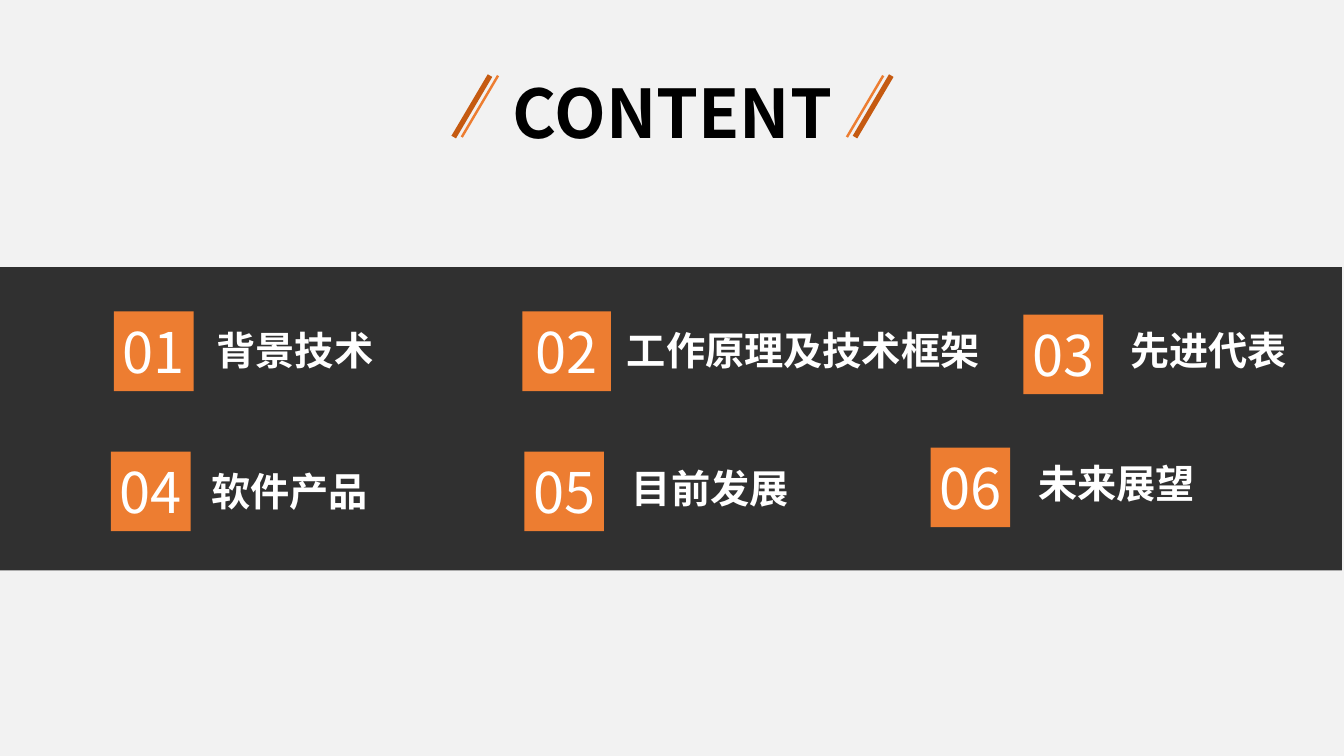
from lxml import etree
from pptx import Presentation
from pptx import util as u
from pptx.dml import color
from pptx.enum import shapes, text
from pptx.oxml import ns

COLORS = {"background": "F2F2F2", "band": "000000", "tile": "ED7D31",
          "dark_orange": "C55A11", "title": "000000", "label": "FFFFFF"}
FONT = "Noto Sans CJK SC"
TILE = 0.79
TOPICS = [
    ("01", 1.13, 3.09, TILE, "背景技术", 2.05, 3.19, 3.09),
    ("02", 5.18, 3.09, 0.88, "工作原理及技术框架", 6.12, 3.19, 4.06),
    ("03", 10.15, 3.12, TILE, "先进代表", 11.11, 3.19, 2.1),
    ("04", 1.1, 4.48, TILE, "软件产品", 2, 4.58, 2.1),
    ("05", 5.2, 4.48, TILE, "目前发展", 6.17, 4.55, 2.1),
    ("06", 9.23, 4.44, TILE, "未来展望", 10.2, 4.51, 2.1),
]


def rgb(name):
    """Return the palette colour with this name."""
    return color.RGBColor.from_string(COLORS[name])


def write(shape, words, size, color_name, bold, alignment):
    """Put one styled line of text into a shape."""
    frame = shape.text_frame
    frame.text = words
    frame.vertical_anchor = text.MSO_ANCHOR.MIDDLE
    paragraph = frame.paragraphs[0]
    paragraph.alignment = alignment
    font = paragraph.runs[0].font
    font.name, font.size, font.bold = FONT, u.Pt(size), bold
    font.color.rgb = rgb(color_name)
    east_asian = etree.SubElement(paragraph.runs[0]._r.get_or_add_rPr(), ns.qn("a:ea"))
    east_asian.set("typeface", FONT)


def add_rectangle(slide, left, top, width, height, color_name):
    """Add a flat rectangle without an outline."""
    shape = slide.shapes.add_shape(shapes.MSO_SHAPE.RECTANGLE, u.Inches(left), u.Inches(top),
                                   u.Inches(width), u.Inches(height))
    shape.shadow.inherit = False
    shape.fill.solid()
    shape.fill.fore_color.rgb = rgb(color_name)
    shape.line.fill.background()
    return shape


def add_band(slide):
    """Add the translucent dark band behind the topics."""
    band = add_rectangle(slide, -0.07, 2.65, 13.38, 3.01, "band")
    fill_color = band.fill._xPr.find(".//" + ns.qn("a:srgbClr"))
    etree.SubElement(fill_color, ns.qn("a:alpha")).set("val", "80000")


def add_slash(slide, left, color_name, width):
    """Add one slanted stroke beside the title."""
    slash = slide.shapes.add_connector(shapes.MSO_CONNECTOR.STRAIGHT, u.Inches(left + 0.36),
                                       u.Inches(0.75), u.Inches(left), u.Inches(1.36))
    slash.line.color.rgb = rgb(color_name)
    slash.line.width = u.Pt(width)
    etree.SubElement(slash._element.spPr, ns.qn("a:effectLst"))


def add_title(slide):
    """Place the title between its two pairs of strokes."""
    title = slide.shapes.title
    title.left, title.top = u.Inches(4.88), u.Inches(0.65)
    title.width, title.height = u.Inches(3.58), u.Inches(0.91)
    write(title, "CONTENT", 48, "title", True, text.PP_ALIGN.CENTER)
    title.text_frame.word_wrap = False
    for thin, thick in ((4.58, 4.5), (8.4, 8.48)):
        add_slash(slide, thin, "tile", 1.75)
        add_slash(slide, thick, "dark_orange", 3.75)


def add_topic(slide, number, left, top, width, label, label_left, label_top, label_width):
    """Add a numbered tile and its label."""
    tile = add_rectangle(slide, left, top, width, TILE, "tile")
    write(tile, number, 40, "label", False, text.PP_ALIGN.CENTER)
    tile.text_frame.word_wrap = False
    box = slide.shapes.add_textbox(u.Inches(label_left), u.Inches(label_top),
                                   u.Inches(label_width), u.Inches(0.57))
    write(box, label, 28, "label", True, text.PP_ALIGN.LEFT)
    box.text_frame.word_wrap = True


def main():
    """Build the contents slide."""
    presentation = Presentation()
    presentation.slide_width, presentation.slide_height = u.Inches(13.33), u.Inches(7.5)
    slide = presentation.slides.add_slide(presentation.slide_layouts[5])
    slide.background.fill.solid()
    slide.background.fill.fore_color.rgb = rgb("background")
    add_band(slide)
    add_title(slide)
    for topic in TOPICS:
        add_topic(slide, *topic)
    presentation.save("out.pptx")


main()
